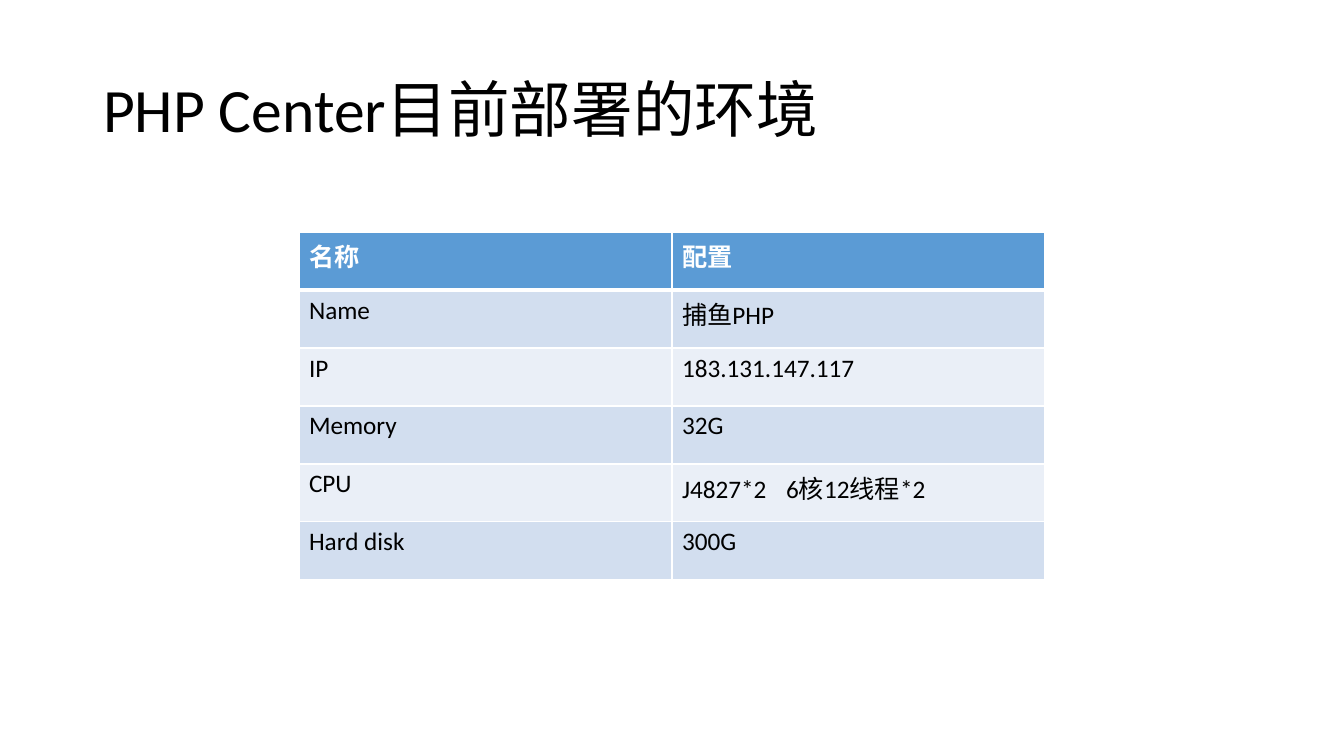
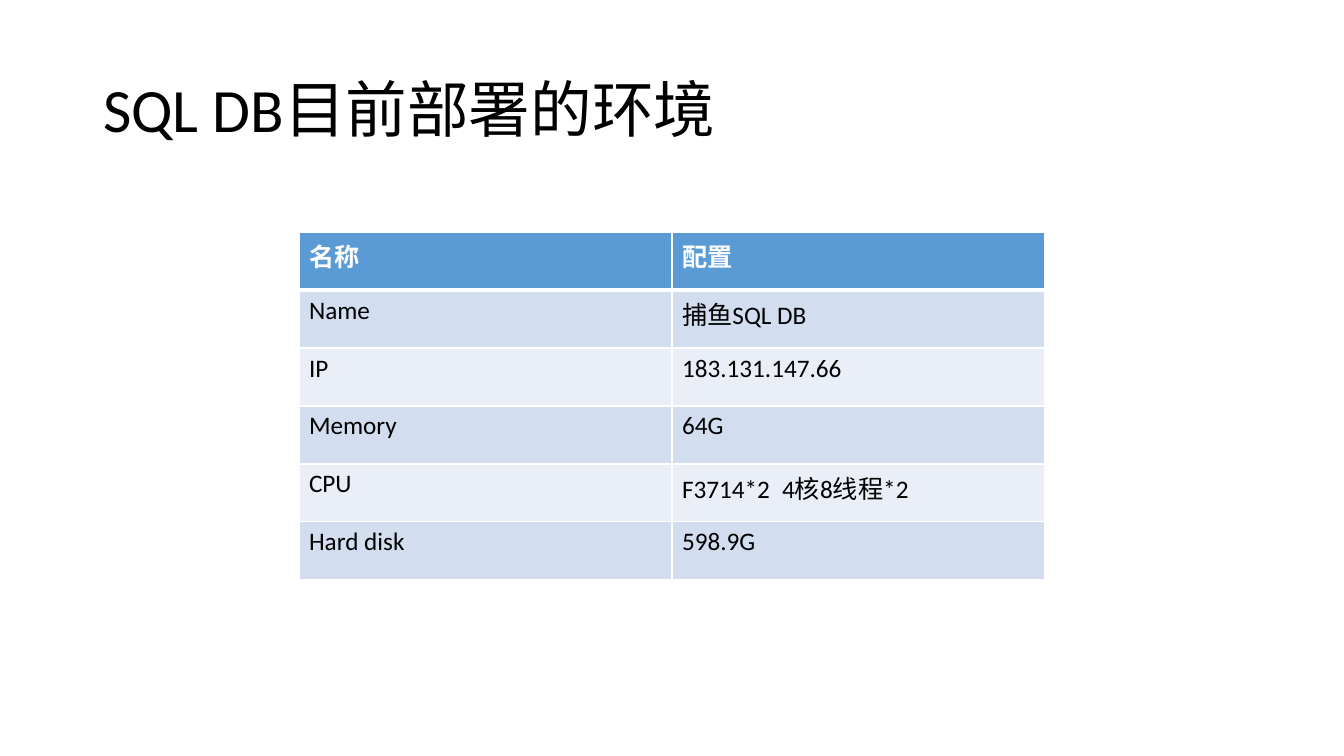
"""Build two slides that list the servers' deployment settings."""
import dataclasses
import typing

import pptx
import pptx.dml.color
import pptx.enum.text
import pptx.oxml
import pptx.oxml.ns
import pptx.util

RGB = pptx.dml.color.RGBColor
BLACK = RGB(0x00, 0x00, 0x00)
WHITE = RGB(0xFF, 0xFF, 0xFF)
BLUE = RGB(0x5B, 0x9B, 0xD5)
BANDS = (RGB(0xEA, 0xEF, 0xF7), RGB(0xD2, 0xDE, 0xEF))
SCALE = 914400 / 100.8
ROW = 58
HEAD = ("名称", "配置")
KEYS = ("Name", "IP", "Memory", "CPU", "Hard disk")
TITLE = {"name": "Calibri", "size": pptx.util.Pt(44), "bold": False}
LABEL = {"name": "Calibri", "size": pptx.util.Pt(18), "bold": True}
BODY = {**LABEL, "bold": False}


@dataclasses.dataclass(frozen=True)
class Box:
    """Hold a place in px."""
    left: int
    top: int
    width: int
    height: int


@dataclasses.dataclass(frozen=True)
class Server:
    """Hold one server's title, values and tab stop in px."""
    title: str
    values: tuple[str, ...]
    stop: int


TITLE_BOX = Box(93, 40, 1159, 146)
GRID_BOX = Box(299, 232, 746, ROW * (len(KEYS) + 1))
SERVERS = (
    Server("PHP Center目前部署的环境",
           ("捕鱼PHP", "183.131.147.117", "32G", "J4827*2\t6核12线程*2", "300G"), 104),
    Server("SQL DB目前部署的环境",
           ("捕鱼SQL DB", "183.131.147.66", "64G", "F3714*2\t4核8线程*2", "598.9G"), 100),
)


def px(count: int) -> int:
    """Turn px into EMU."""
    return round(count * SCALE)


def place(box: Box) -> dict[str, int]:
    """Turn a box into EMU lengths by name."""
    return {name: px(size) for name, size in dataclasses.asdict(box).items()}


def style(font: typing.Any, form: dict[str, typing.Any], color: RGB) -> None:
    """Apply format values and a colour to a font."""
    for name, value in form.items():
        setattr(font, name, value)
    font.color.rgb = color


def add_title(slide: typing.Any, text: str) -> None:
    """Fill, move and format the title placeholder."""
    shape = slide.shapes.title
    for name, value in place(TITLE_BOX).items():
        setattr(shape, name, value)
    frame = shape.text_frame
    frame.text = text
    frame.vertical_anchor = pptx.enum.text.MSO_ANCHOR.MIDDLE
    para = frame.paragraphs[0]
    para.alignment = pptx.enum.text.PP_ALIGN.LEFT
    para.line_spacing = 0.9
    style(para.runs[0].font, TITLE, BLACK)


def add_edges(cell: typing.Any, row: int) -> None:
    """Draw white cell borders, thick below the header."""
    props = cell._tc.get_or_add_tcPr()
    thick = {(0, "B"), (1, "T")}
    for side in "LRTB":
        width = pptx.util.Pt(3 if (row, side) in thick else 1)
        props.append(pptx.oxml.parse_xml(
            f'<a:ln{side} {pptx.oxml.ns.nsdecls("a")} w="{width}">'
            f'<a:solidFill><a:srgbClr val="{WHITE}"/></a:solidFill></a:ln{side}>'))


def add_stop(para: typing.Any, stop: int) -> None:
    """Set a left tab stop in a paragraph."""
    para._p.get_or_add_pPr().append(pptx.oxml.parse_xml(
        f'<a:tabLst {pptx.oxml.ns.nsdecls("a")}><a:tab pos="{px(stop)}" algn="l"/></a:tabLst>'))


def add_grid(slide: typing.Any, server: Server) -> None:
    """Draw the table of one server's settings."""
    rows = (HEAD, *zip(KEYS, server.values))
    grid = slide.shapes.add_table(len(rows), len(HEAD), **place(GRID_BOX)).table
    for i, row in enumerate(rows):
        for j, text in enumerate(row):
            cell = grid.cell(i, j)
            cell.text = text
            add_edges(cell, i)
            cell.fill.solid()
            cell.fill.fore_color.rgb = BANDS[i % 2] if i else BLUE
            para = cell.text_frame.paragraphs[0]
            if "\t" in text:
                add_stop(para, server.stop)
            for run in para.runs:
                style(run.font, BODY if i else LABEL, BLACK if i else WHITE)


def main() -> None:
    """Build and save the deck."""
    deck = pptx.Presentation()
    deck.slide_width, deck.slide_height = px(1344), px(756)
    for server in SERVERS:
        slide = deck.slides.add_slide(deck.slide_layouts[5])
        add_title(slide, server.title)
        add_grid(slide, server)
    deck.save("out.pptx")


if __name__ == "__main__":
    main()
